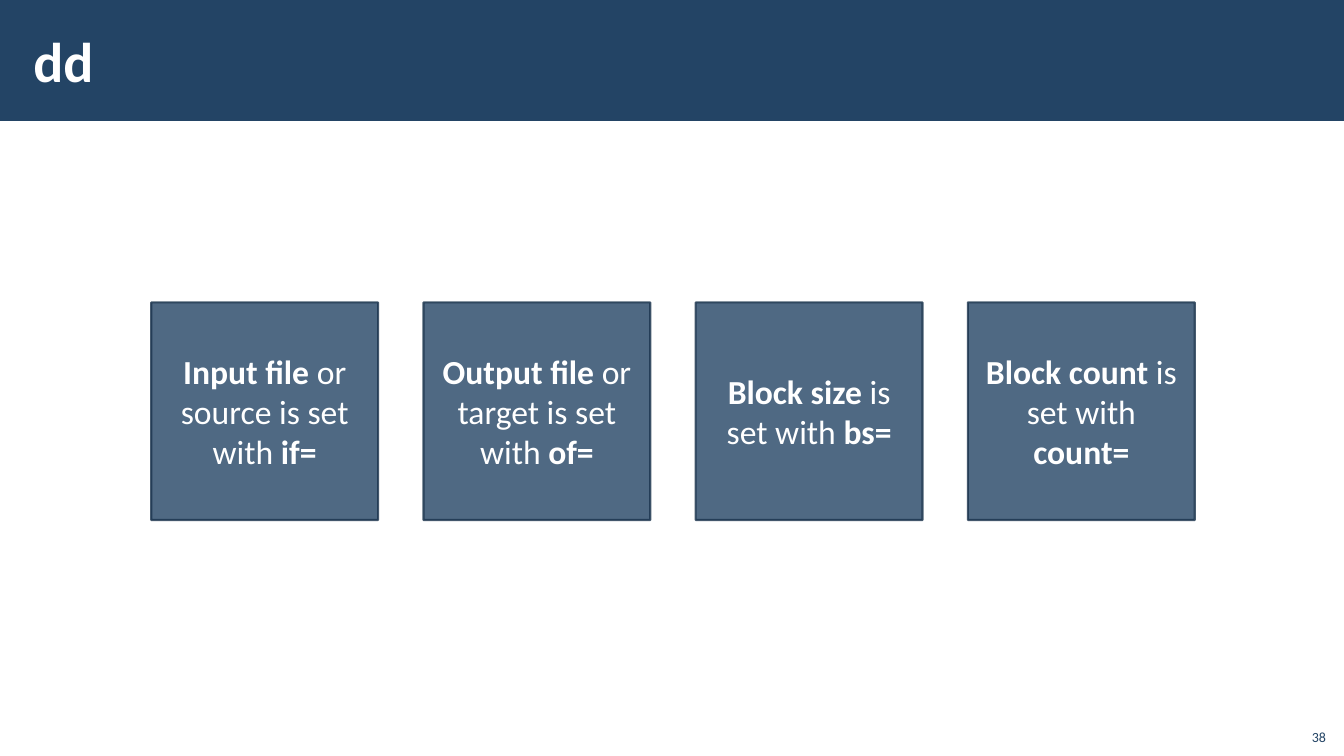
from dataclasses import dataclass

from lxml import etree
from pptx import Presentation
from pptx import util as u
from pptx.dml.color import RGBColor
from pptx.enum import shapes, text
from pptx.oxml.ns import qn


@dataclass(frozen=True)
class Theme:
    font: str = "Calibri"
    navy: RGBColor = RGBColor(0x23, 0x44, 0x65)
    edge: RGBColor = RGBColor(0x1A, 0x33, 0x4C)
    white: RGBColor = RGBColor(0xFF, 0xFF, 0xFF)
    title_size: int = 40
    card_size: int = 24
    number_size: int = 10
    opacity: int = 80


@dataclass(frozen=True)
class Card:
    subject: str
    middle: str
    option: str


THEME = Theme()
CARDS = [
    Card("Input file", " or source is set with ", "if="),
    Card("Output file", " or target is set with ", "of="),
    Card("Block size", " is set with ", "bs="),
    Card("Block count", " is set with ", "count="),
]
CARD_LEFT, CARD_TOP, CARD_PITCH = 1.5, 3, 2.7
CARD_WIDTH, CARD_HEIGHT = 2.25, 2.16


def set_font(p, size: int, color: RGBColor) -> None:
    p.font.name = THEME.font
    p.font.size = u.Pt(size)
    p.font.color.rgb = color


def add_rect(s, left: float, top: float, width: float, height: float):
    sp = s.shapes.add_shape(
        shapes.MSO_SHAPE.RECTANGLE,
        u.Inches(left), u.Inches(top), u.Inches(width), u.Inches(height),
    )
    sp.shadow.inherit = False
    sp.fill.solid()
    sp.fill.fore_color.rgb = THEME.navy
    return sp


def add_banner(s) -> None:
    sp = add_rect(s, 0, 0, 13.34, 1.2)
    sp.line.fill.background()
    s.shapes._spTree.insert(2, sp._element)


def format_title(s, wording: str) -> None:
    sp = s.shapes.title
    sp.left, sp.top = u.Inches(0.21), u.Inches(0.11)
    sp.width, sp.height = u.Inches(10.63), u.Inches(0.97)
    tf = sp.text_frame
    tf.text = wording
    tf.vertical_anchor = text.MSO_ANCHOR.MIDDLE
    tf.margin_left = tf.margin_right = u.Inches(0.12)
    tf.margin_top = tf.margin_bottom = u.Inches(0.04)
    p = tf.paragraphs[0]
    p.alignment = text.PP_ALIGN.LEFT
    set_font(p, THEME.title_size, THEME.white)
    p.font.bold = True


def add_card(s, card: Card, left: float) -> None:
    sp = add_rect(s, left, CARD_TOP, CARD_WIDTH, CARD_HEIGHT)
    sp.line.color.rgb = THEME.edge
    sp.line.width = u.Pt(1.5)
    for color in sp._element.spPr.iter(qn("a:srgbClr")):
        etree.SubElement(color, qn("a:alpha"), val=str(THEME.opacity * 1000))
    tf = sp.text_frame
    tf.word_wrap = True
    tf.vertical_anchor = text.MSO_ANCHOR.MIDDLE
    p = tf.paragraphs[0]
    p.alignment = text.PP_ALIGN.CENTER
    set_font(p, THEME.card_size, THEME.white)
    for wording, bold in ((card.subject, True), (card.middle, False), (card.option, True)):
        r = p.add_run()
        r.text = wording
        r.font.bold = bold


def add_slide_number(s, number: int) -> None:
    sp = s.shapes.add_textbox(u.Inches(12.85), u.Inches(7.12), u.Inches(0.4), u.Inches(0.32))
    tf = sp.text_frame
    tf.word_wrap = True
    tf.vertical_anchor = text.MSO_ANCHOR.BOTTOM
    p = tf.paragraphs[0]
    p.text = str(number)
    p.alignment = text.PP_ALIGN.RIGHT
    set_font(p, THEME.number_size, THEME.navy)


def main() -> None:
    prs = Presentation()
    prs.slide_width, prs.slide_height = u.Inches(13.33), u.Inches(7.5)
    s = prs.slides.add_slide(prs.slide_layouts[5])
    add_banner(s)
    format_title(s, "dd")
    for i, card in enumerate(CARDS):
        add_card(s, card, CARD_LEFT + i * CARD_PITCH)
    add_slide_number(s, 38)
    prs.save("out.pptx")


if __name__ == "__main__":
    main()
